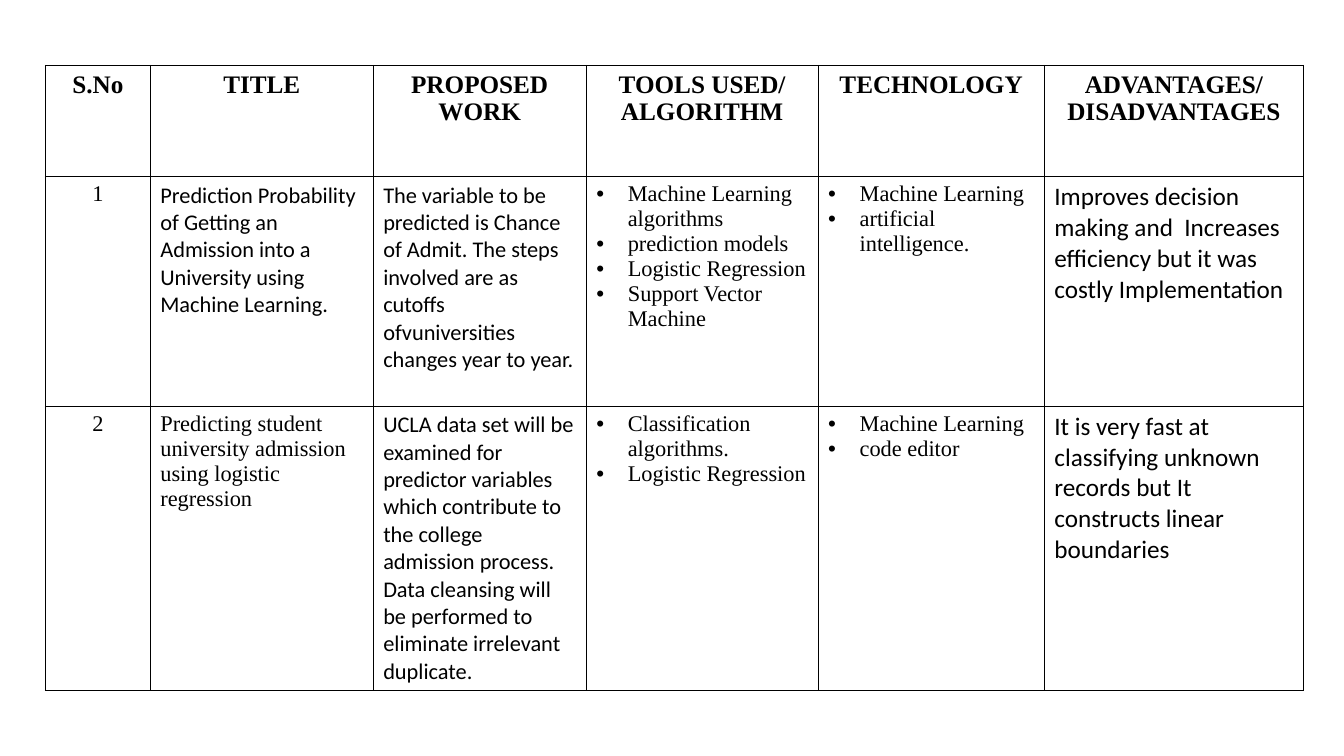
from lxml.etree import SubElement
from pptx import Presentation
from pptx.dml.color import RGBColor
from pptx.enum.text import PP_ALIGN
from pptx.oxml.ns import qn
from pptx.util import Pt

HEADERS = [
    ["S.No"],
    ["TITLE"],
    ["PROPOSED WORK"],
    ["TOOLS USED/", "ALGORITHM"],
    ["TECHNOLOGY"],
    ["ADVANTAGES/ DISADVANTAGES"],
]
PAPERS = [
    [
        ("number", ["1"]),
        ("prose", ["Prediction Probability of Getting an Admission into a University using Machine Learning."]),
        ("prose", ["The variable to be predicted is Chance of Admit. The steps involved are as cutoffs "
                   "ofvuniversities changes year to year."]),
        ("bullets", ["Machine Learning algorithms", "prediction models", "Logistic Regression",
                     "Support Vector Machine"]),
        ("bullets", ["Machine Learning", "artificial intelligence."]),
        ("verdict", ["Improves decision making and  Increases efficiency but it was costly Implementation"]),
    ],
    [
        ("number", ["2"]),
        ("citation", ["Predicting student university admission using logistic regression"]),
        ("prose", ["UCLA data set will be examined for predictor variables which contribute to the college "
                   "admission process. Data cleansing will be performed to eliminate irrelevant duplicate."]),
        ("bullets", ["Classification algorithms.", "Logistic Regression"]),
        ("bullets", ["Machine Learning", "code editor"]),
        ("verdict", ["It is very fast at classifying unknown records but It constructs linear boundaries"]),
    ],
]
ROWS = [[("header", lines) for lines in HEADERS], *PAPERS]

SERIF, SANS = "Times New Roman", "Calibri"
THEME = {
    "ink": "000000",
    "border": 1,
    "bullet_indent": 22.5,
    "styles": {
        "header": (SERIF, 18, PP_ALIGN.CENTER),
        "number": (SERIF, 16, PP_ALIGN.CENTER),
        "citation": (SERIF, 16, PP_ALIGN.LEFT),
        "prose": (SANS, 16, PP_ALIGN.LEFT),
        "bullets": (SERIF, 16, PP_ALIGN.LEFT),
        "verdict": (SANS, 18, PP_ALIGN.LEFT),
    },
}
LEFT, TOP = 32.4, 46.8
COLUMN_WIDTHS = [75, 159.2, 152.2, 165.6, 161.6, 185.2]
ROW_HEIGHTS = [79.5, 164, 176.4]


def add_borders(cell):
    properties = cell._tc.get_or_add_tcPr()
    for side in ("a:lnL", "a:lnR", "a:lnT", "a:lnB"):
        line = SubElement(properties, qn(side), w=str(Pt(THEME["border"])))
        fill = SubElement(line, qn("a:solidFill"))
        SubElement(fill, qn("a:srgbClr"), val=THEME["ink"])


def add_bullet(paragraph):
    properties = paragraph._p.get_or_add_pPr()
    indent = Pt(THEME["bullet_indent"])
    properties.set("marL", str(indent))
    properties.set("indent", str(-indent))
    SubElement(properties, qn("a:buFont"), typeface="Arial")
    SubElement(properties, qn("a:buChar"), char="•")


def fill_cell(cell, style, lines):
    add_borders(cell)
    cell.fill.background()
    font_name, size, alignment = THEME["styles"][style]
    cell.text = "\n".join(lines)
    for paragraph in cell.text_frame.paragraphs:
        paragraph.alignment = alignment
        if style == "bullets":
            add_bullet(paragraph)
        font = paragraph.font
        font.name = font_name
        font.size = Pt(size)
        font.bold = style == "header"
        font.color.rgb = RGBColor.from_string(THEME["ink"])


presentation = Presentation()
presentation.slide_width, presentation.slide_height = Pt(960), Pt(540)
slide = presentation.slides.add_slide(presentation.slide_layouts[6])

table = slide.shapes.add_table(
    len(ROWS), len(COLUMN_WIDTHS), Pt(LEFT), Pt(TOP), Pt(sum(COLUMN_WIDTHS)), Pt(sum(ROW_HEIGHTS))
).table
table.first_row = table.horz_banding = False
for column, width in zip(table.columns, COLUMN_WIDTHS):
    column.width = Pt(width)
for row, height, contents in zip(table.rows, ROW_HEIGHTS, ROWS):
    row.height = Pt(height)
    for cell, (style, lines) in zip(row.cells, contents):
        fill_cell(cell, style, lines)

presentation.save("out.pptx")
